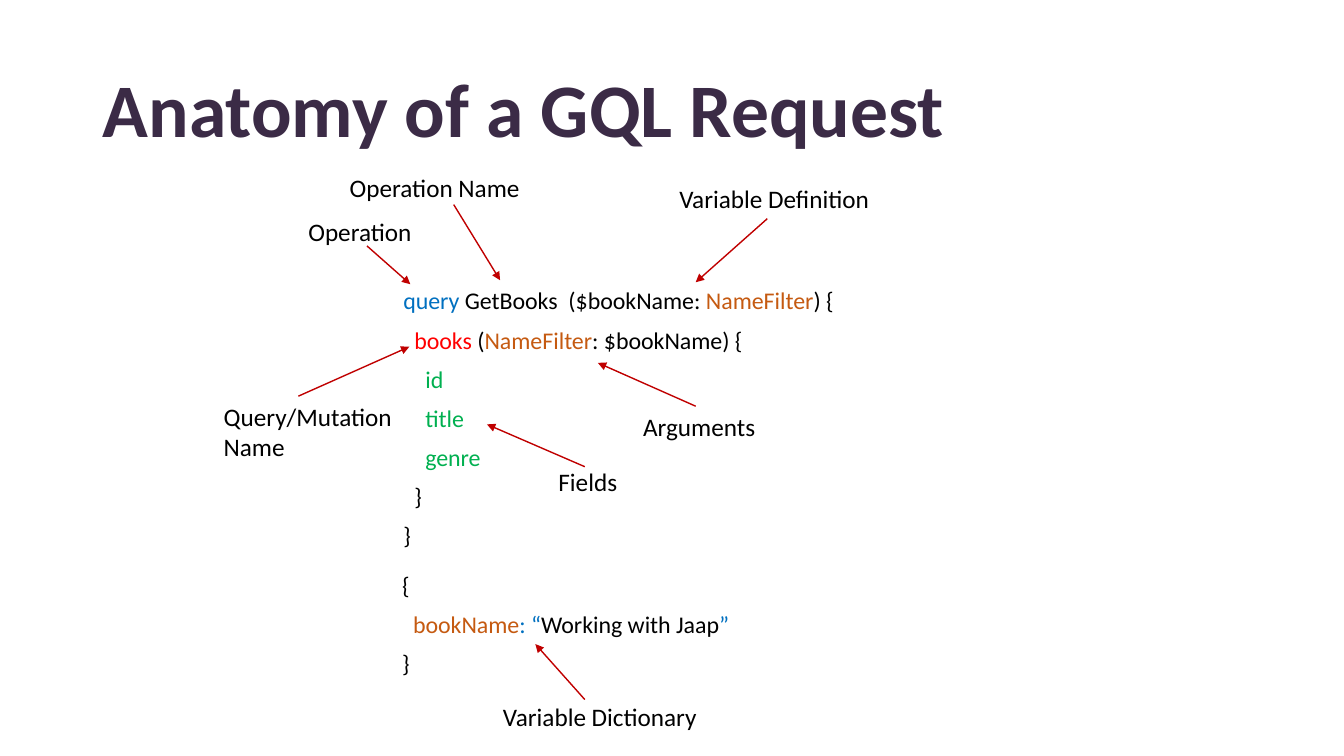
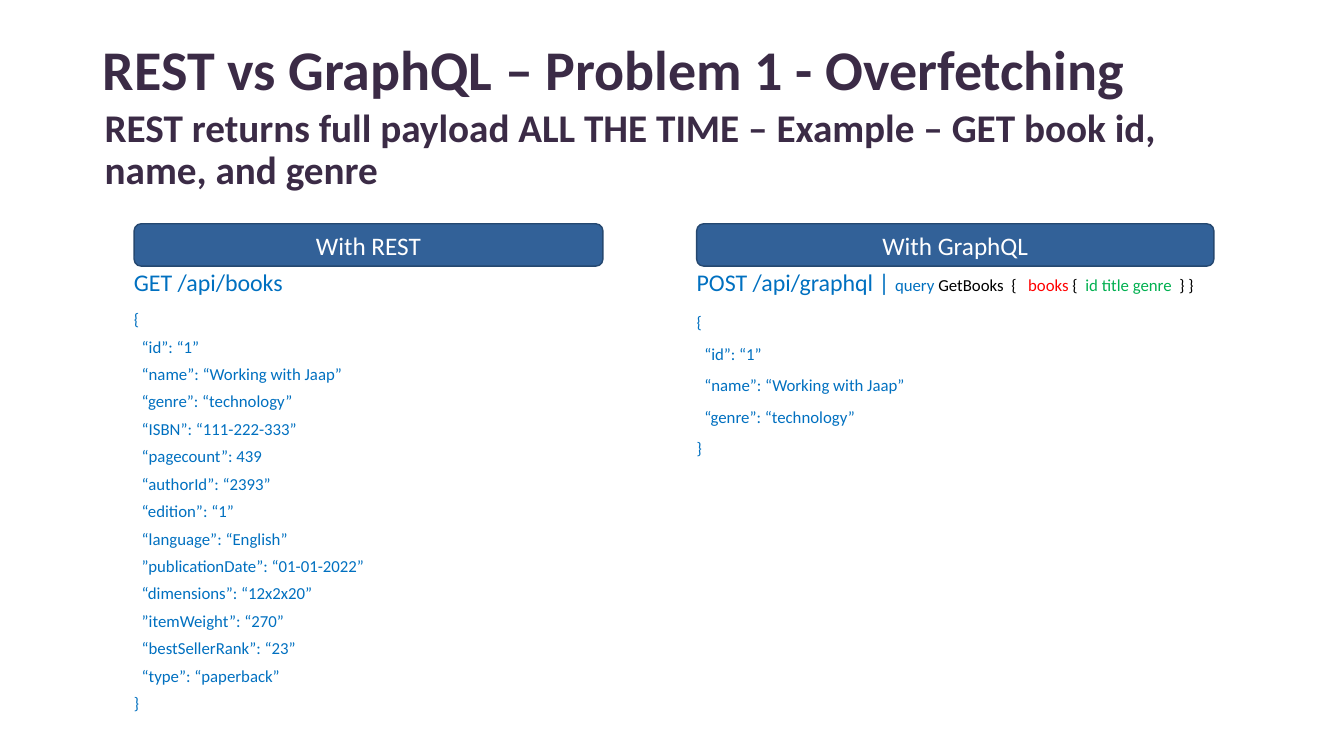
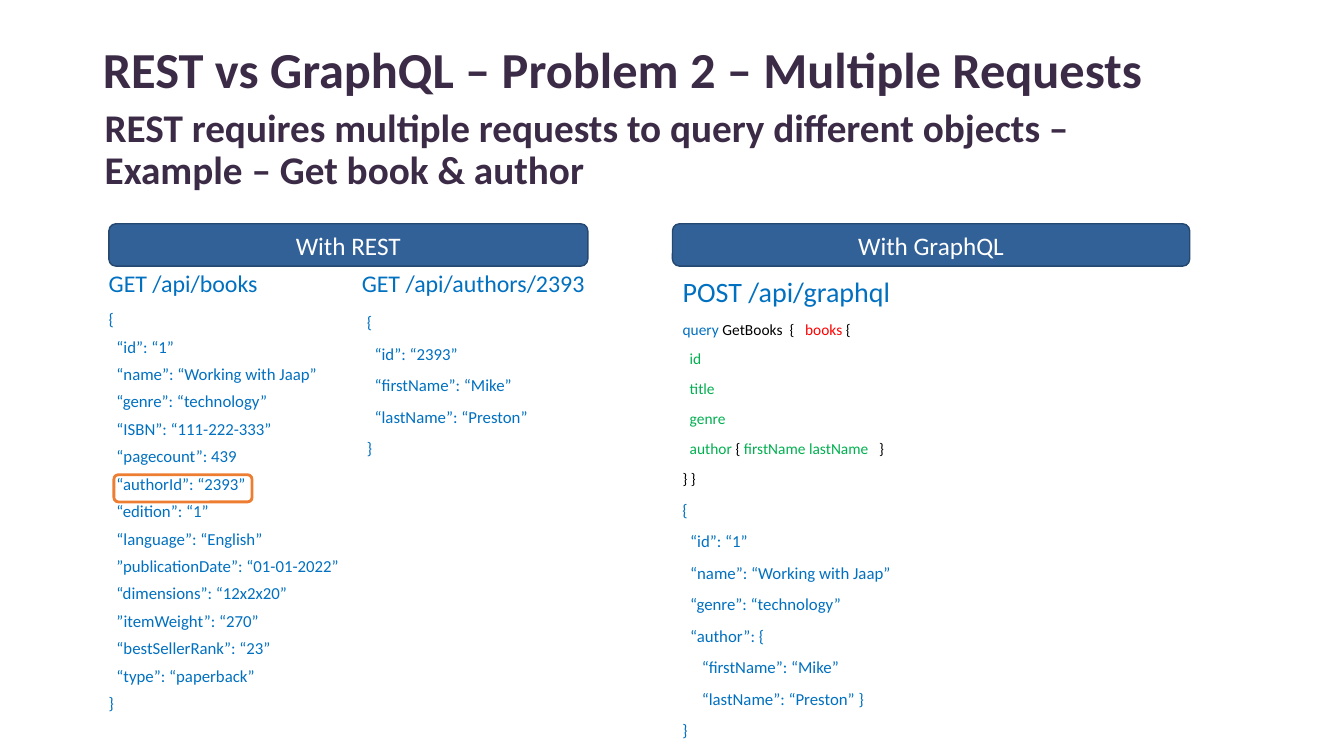
from dataclasses import dataclass

from lxml.etree import SubElement
from pptx import Presentation
from pptx.dml.color import RGBColor
from pptx.enum.shapes import MSO_CONNECTOR, MSO_SHAPE
from pptx.enum.text import MSO_ANCHOR, MSO_AUTO_SIZE, PP_ALIGN
from pptx.oxml.ns import qn
from pptx.util import Inches, Pt


@dataclass(frozen=True)
class Theme:
    """Fonts, colours and type sizes of the deck."""

    font: str = "Calibri"
    heading: str = "3B2B46"
    black: str = "000000"
    white: str = "FFFFFF"
    keyword: str = "0070C0"
    argument: str = "C55A11"
    operation: str = "FF0000"
    field: str = "00B050"
    arrow: str = "C00000"
    band: str = "326198"
    band_edge: str = "254870"
    highlight: str = "ED7D31"
    title_size: float = 54
    problem_size: float = 40
    long_problem_size: float = 36
    subtitle_size: float = 28
    endpoint_size: float = 20
    label_size: float = 18
    code_size: float = 17.1
    payload_size: float = 12
    query_size: float = 11
    space_width: float = 0.23
    code_gap: float = 9.5


THEME = Theme()


@dataclass(frozen=True)
class Line:
    """A code line: runs of (text, colour), size, and indent in characters."""

    runs: tuple
    size: float = THEME.payload_size
    indent: int = 0


class Deck:
    """Presentation with its style and current slide."""

    def __init__(self, theme):
        """Start an empty widescreen deck."""
        self.theme = theme
        self.presentation = Presentation()
        self.presentation.slide_width = Inches(13.33)
        self.presentation.slide_height = Inches(7.5)
        self.slide = None

    def add_slide(self, title, size, top):
        """Add a slide with a title."""
        layout = self.presentation.slide_layouts[1]
        self.slide = self.presentation.slides.add_slide(layout)
        self.heading(self.slide.shapes.title, title, size, (0.92, top, 10.64, 1.45))

    def place(self, holder, box):
        """Move a shape to a box given in inches."""
        holder.left, holder.top, holder.width, holder.height = map(Inches, box)

    def text_box(self, box):
        """Add an empty wrapping text box."""
        holder = self.slide.shapes.add_textbox(*map(Inches, box))
        holder.text_frame.word_wrap = True
        return holder

    def append_run(self, paragraph, text, color, size, bold=False):
        """Append one run to a paragraph."""
        run = paragraph.add_run()
        run.text = text
        run.font.name = self.theme.font
        run.font.size = Pt(size)
        run.font.bold = bold
        run.font.color.rgb = RGBColor.from_string(color)

    def heading(self, holder, text, size, box):
        """Fill a shape with left-aligned bold heading text."""
        self.place(holder, box)
        frame = holder.text_frame
        frame.auto_size = MSO_AUTO_SIZE.NONE
        frame.vertical_anchor = MSO_ANCHOR.MIDDLE
        paragraph = frame.paragraphs[0]
        paragraph.alignment = PP_ALIGN.LEFT
        paragraph.line_spacing = 0.9
        self.append_run(paragraph, text, self.theme.heading, size, bold=True)

    def subtitle(self, text):
        """Add the statement below the title."""
        box = (0.94, 0.77, 10.64, 1.45)
        self.heading(self.text_box(box), text, self.theme.subtitle_size, box)

    def code(self, box, lines, spacing=0.9, body=False):
        """Set code lines in the body placeholder or a text box."""
        holder = self.slide.placeholders[1] if body else self.text_box(box)
        self.place(holder, box)
        frame = holder.text_frame
        frame.auto_size = MSO_AUTO_SIZE.NONE
        for number, line in enumerate(lines):
            paragraph = frame.add_paragraph() if number else frame.paragraphs[0]
            paragraph.line_spacing = spacing
            paragraph.space_before = Pt(self.theme.code_gap)
            properties = paragraph._p.get_or_add_pPr()
            margin = Pt(line.indent * self.theme.space_width * line.size)
            properties.set("marL", str(margin))
            properties.set("indent", "0")
            SubElement(properties, qn("a:buNone"))
            for text, color, *size in line.runs:
                self.append_run(paragraph, text, color, size[0] if size else line.size)

    def label(self, text, box):
        """Add a callout label."""
        frame = self.text_box(box).text_frame
        frame.auto_size = MSO_AUTO_SIZE.SHAPE_TO_FIT_TEXT
        theme = self.theme
        self.append_run(frame.paragraphs[0], text, theme.black, theme.label_size)

    def arrow(self, start, end):
        """Draw an arrow between two points."""
        arrow = self.slide.shapes.add_connector(
            MSO_CONNECTOR.STRAIGHT, *map(Inches, start + end)
        )
        arrow.line.color.rgb = RGBColor.from_string(self.theme.arrow)
        arrow.line.width = Pt(1)
        SubElement(arrow.line._get_or_add_ln(), qn("a:tailEnd"), type="triangle")
        SubElement(arrow._element.spPr, qn("a:effectLst"))

    def rounded(self, box, edge, weight, fill=None):
        """Add a rounded rectangle, hollow unless a fill is given."""
        panel = self.slide.shapes.add_shape(
            MSO_SHAPE.ROUNDED_RECTANGLE, *map(Inches, box)
        )
        panel.shadow.inherit = False
        panel.line.color.rgb = RGBColor.from_string(edge)
        panel.line.width = Pt(weight)
        if fill:
            panel.fill.solid()
            panel.fill.fore_color.rgb = RGBColor.from_string(fill)
        else:
            panel.fill.background()
        return panel

    def band(self, text, left, width):
        """Add a column header band."""
        theme = self.theme
        box = (left, 2.22, width, 0.42)
        frame = self.rounded(box, theme.band_edge, 1, theme.band).text_frame
        frame.vertical_anchor = MSO_ANCHOR.MIDDLE
        paragraph = frame.paragraphs[0]
        paragraph.alignment = PP_ALIGN.CENTER
        self.append_run(paragraph, text, theme.white, theme.label_size)


def blue(text, size=THEME.payload_size, indent=0):
    """Return a line in the keyword colour."""
    return Line(((text, THEME.keyword),), size, indent)


def payload(*entries):
    """Return a braced response with its entries indented."""
    return [blue("{"), *(blue(entry, indent=2) for entry in entries), blue("}")]


def field_lines(size, indent):
    """Return the requested book fields, one a line."""
    return [
        Line(((name, THEME.field),), size, indent) for name in ("id", "title", "genre")
    ]


BOOK = ("“id”: “1”", "“name”: “Working with Jaap”", "“genre”: “technology”")
FULL_BOOK = payload(
    *BOOK,
    "“ISBN”: “111-222-333”",
    "“pagecount”: 439",
    "“authorId”: “2393”",
    "“edition”: “1”",
    "“language”: “English”",
    "”publicationDate”: “01-01-2022”",
    "“dimensions”: “12x2x20”",
    "”itemWeight”: “270”",
    "“bestSellerRank”: “23”",
    "“type”: “paperback”",
)
AUTHOR = ("“firstName”: “Mike”", "“lastName”: “Preston”")
CALLOUTS = (
    ("Operation", (2.96, 2.1, 1.95, 0.4), (3.64, 2.44), (4.07, 2.82)),
    ("Operation Name", (3.37, 1.66, 1.95, 0.4), (4.5, 2.03), (4.96, 2.78)),
    ("Variable Definition", (6.64, 1.77, 2.26, 0.4), (7.61, 2.17), (6.9, 2.8)),
    ("Query/Mutation Name", (2.12, 3.93, 1.95, 0.71), (2.96, 3.93), (4.06, 3.44)),
    ("Arguments", (6.28, 4.03, 1.95, 0.4), (6.9, 4.03), (5.93, 3.6)),
    ("Fields", (5.44, 4.58, 1.95, 0.4), (5.8, 4.63), (4.83, 4.21)),
    ("Variable Dictionary", (4.89, 6.91, 2.35, 0.4), (5.8, 6.94), (5.31, 6.39)),
)


def anatomy(deck):
    """Build the annotated request."""
    theme = deck.theme
    size = theme.code_size
    deck.add_slide("Anatomy of a GQL Request", theme.title_size, 0.4)
    query = (
        ("query ", theme.keyword),
        ("GetBooks  ($bookName: ", theme.black),
        ("NameFilter", theme.argument),
        (") {", theme.black),
    )
    books = (
        ("books", theme.operation),
        (" (", theme.black),
        ("NameFilter", theme.argument),
        (": $bookName) {", theme.black),
    )
    closing = ("}", theme.black)
    request = [
        Line(query, size),
        Line(books, size, 2),
        *field_lines(size, 4),
        Line((closing,), size, 2),
        Line((closing,), size),
    ]
    deck.code((3.9, 2.82, 4.75, 2.88), request, body=True)
    book_name = (
        ("bookName", theme.argument),
        (": “", theme.keyword),
        ("Working with Jaap", theme.black),
        ("”", theme.keyword),
    )
    variables = [
        Line((("{", theme.black),), size),
        Line(book_name, size, 2),
        Line((closing,), size),
    ]
    deck.code((3.89, 5.64, 4.43, 1.45), variables)
    for text, box, start, end in CALLOUTS:
        deck.arrow(start, end)
        deck.label(text, box)


def overfetching(deck):
    """Build the overfetching comparison."""
    theme = deck.theme
    small = theme.payload_size
    deck.add_slide(
        "REST vs GraphQL – Problem 1 - Overfetching", theme.problem_size, -0.01
    )
    deck.subtitle(
        "REST returns full payload ALL THE TIME – "
        "Example – GET book id, name, and genre"
    )
    post = (
        ("POST /api/graphql | ", theme.keyword),
        ("query ", theme.keyword, small),
        ("GetBooks  {   ", theme.black, small),
        ("books", theme.operation, small),
        (" {  ", theme.black, small),
        ("id title genre", theme.field, small),
        ("  } }", theme.black, small),
    )
    deck.code((6.81, 2.64, 5.32, 0.42), [Line(post, theme.code_size)], body=True)
    deck.code((1.23, 2.64, 4.75, 0.42), [blue("GET /api/books", theme.code_size)])
    deck.code((1.23, 3.07, 4.75, 4.22), FULL_BOOK, spacing=0.7)
    deck.code((6.81, 3.07, 4.75, 4.22), payload(*BOOK))
    deck.band("With REST", 1.33, 4.65)
    deck.band("With GraphQL", 6.91, 5.13)


def multiple_requests(deck):
    """Build the multiple requests comparison."""
    theme = deck.theme
    size = theme.query_size
    deck.add_slide(
        "REST vs GraphQL – Problem 2 – Multiple Requests",
        theme.long_problem_size,
        -0.01,
    )
    deck.subtitle(
        "REST requires multiple requests to query different objects – "
        "Example – Get book & author"
    )
    query = (
        ("query ", theme.keyword),
        ("GetBooks  {   ", theme.black),
        ("books", theme.operation),
        (" {", theme.black),
    )
    author = (
        ("author ", theme.field),
        ("{ ", theme.black),
        ("firstName lastName ", theme.field),
        ("  }", theme.black),
    )
    request = [
        blue("POST /api/graphql", theme.endpoint_size),
        Line(query, size),
        *field_lines(size, 2),
        Line(author, size, 2),
        Line((("} }", theme.black),), size),
    ]
    deck.code((6.67, 2.71, 5.32, 2.55), request, body=True)
    first_name, last_name = AUTHOR
    nested = [blue(first_name, indent=5), blue(last_name + " }", indent=5)]
    *opening, closing = payload(*BOOK, "“author”: {")
    deck.code((6.67, 4.93, 4.75, 2.55), [*opening, *nested, closing])
    deck.code((0.98, 2.65, 2.35, 0.42), [blue("GET /api/books", theme.code_size)])
    deck.code((0.98, 3.07, 2.51, 4.22), FULL_BOOK, spacing=0.7)
    deck.code(
        (3.49, 2.65, 2.51, 0.42), [blue("GET /api/authors/2393", theme.code_size)]
    )
    deck.code((3.54, 3.07, 2.51, 4.22), payload("“id”: “2393”", *AUTHOR))
    deck.band("With REST", 1.08, 4.75)
    deck.band("With GraphQL", 6.67, 5.13)
    deck.rounded((1.13, 4.71, 1.37, 0.27), theme.highlight, 2)


def main():
    """Build and save the deck."""
    deck = Deck(THEME)
    for build in (anatomy, overfetching, multiple_requests):
        build(deck)
    deck.presentation.save("out.pptx")


if __name__ == "__main__":
    main()
